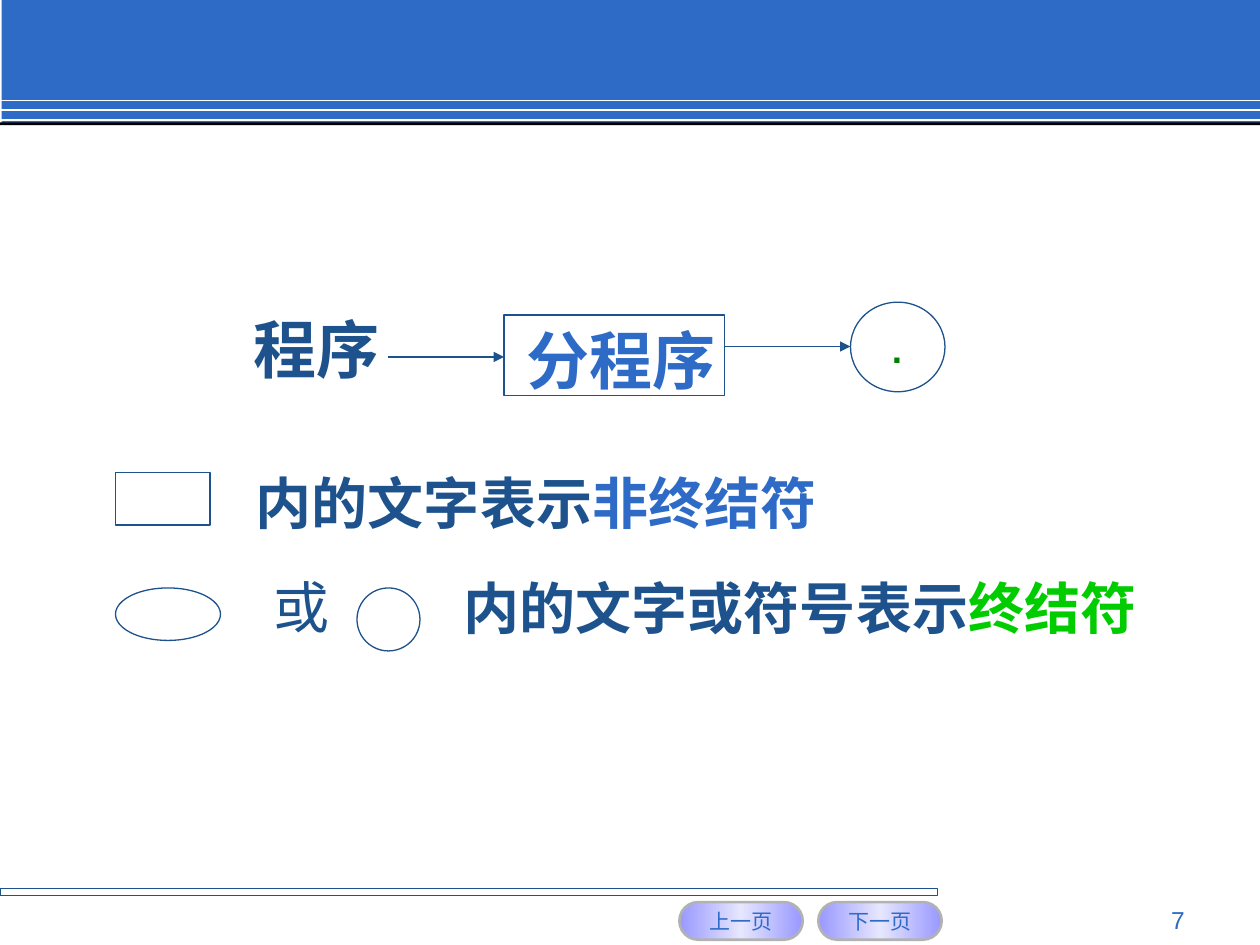
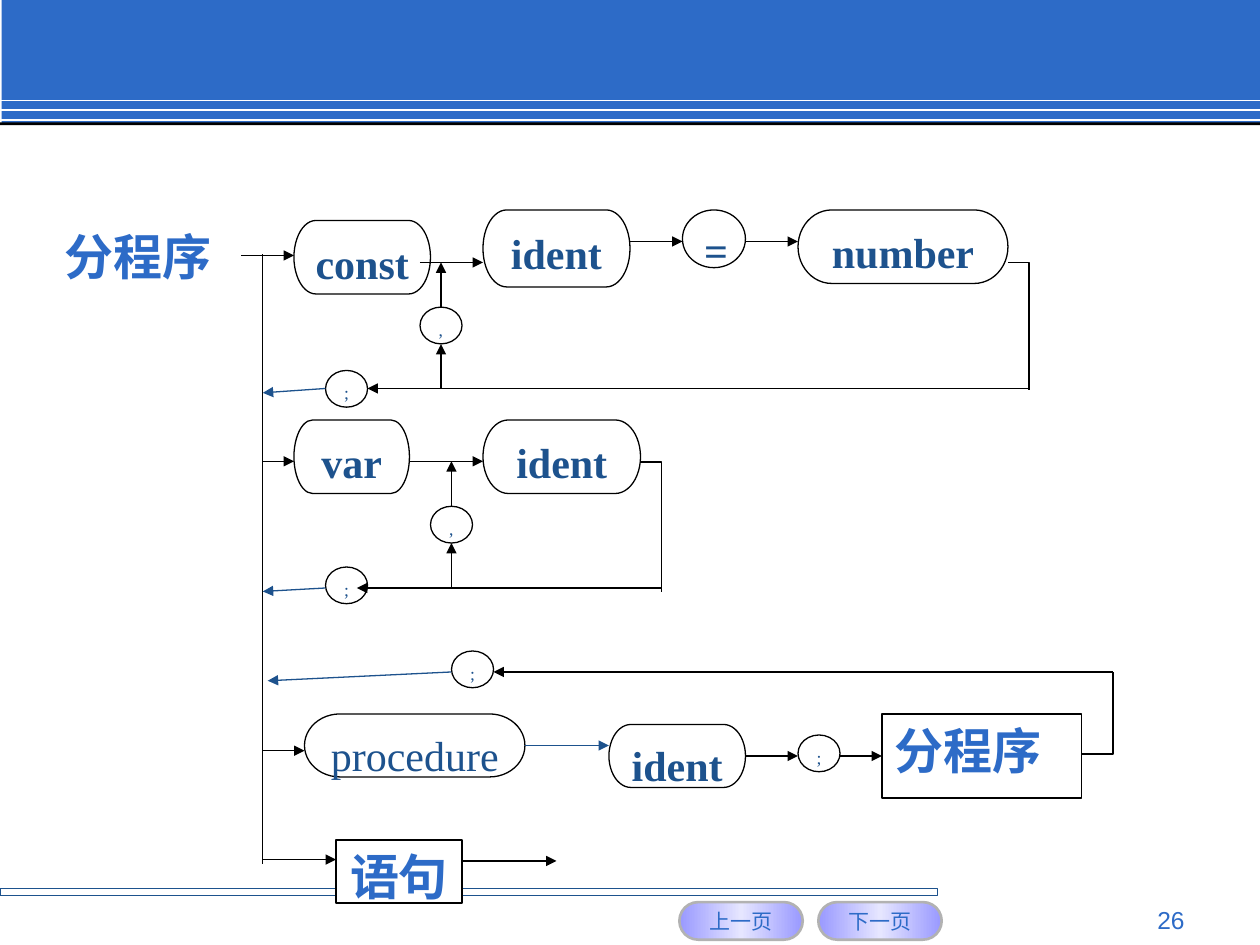
from lxml import etree
from pptx import Presentation
from pptx.dml.color import RGBColor
from pptx.enum.shapes import MSO_CONNECTOR, MSO_SHAPE
from pptx.enum.text import MSO_ANCHOR, PP_ALIGN
from pptx.oxml.ns import qn
from pptx.util import Pt

# Shared colours, fonts and enum members
BLUE, NAVY, BLACK, WHITE = "2D6BC7", "1D528D", "000000", "FFFFFF"
GREEN, DARK_GREEN, GRAY = "00CC00", "008000", "B2B2B2"
LILAC, PALE_LILAC = "9999FF", "E6E6FF"
SANS, SERIF, BODY, CHINESE = "Arial", "Times New Roman", "Cabin", "Noto Sans CJK SC"
LEFT, CENTER, RIGHT, JUSTIFY = (
    PP_ALIGN.LEFT, PP_ALIGN.CENTER, PP_ALIGN.RIGHT, PP_ALIGN.JUSTIFY)
TOP, MIDDLE = MSO_ANCHOR.TOP, MSO_ANCHOR.MIDDLE
STRAIGHT = MSO_CONNECTOR.STRAIGHT
RECT, PILL, OVAL = MSO_SHAPE.RECTANGLE, MSO_SHAPE.ROUNDED_RECTANGLE, MSO_SHAPE.OVAL
TERMINATOR = MSO_SHAPE.FLOWCHART_TERMINATOR
JUNCTION = MSO_SHAPE.FLOWCHART_CONNECTOR
PROCESS = MSO_SHAPE.FLOWCHART_PROCESS


def color(hex_code):
    return RGBColor.from_string(hex_code)


def points(values):
    return [Pt(value) for value in values]


# Element builders
def write(shape, parts, size, font, bold=False, align=LEFT, anchor=TOP, wrap=True):
    """Fill a shape with one paragraph made of (text, colour) parts."""
    frame = shape.text_frame
    frame.word_wrap = wrap
    frame.vertical_anchor = anchor
    paragraph = frame.paragraphs[0]
    paragraph.alignment = align
    for text, hex_code in parts:
        run = paragraph.add_run()
        run.text = text
        run.font.size = Pt(size)
        run.font.name = font
        run.font.bold = bold
        run.font.color.rgb = color(hex_code)
        etree.SubElement(run.font._element, qn("a:ea"), typeface=BODY)


def add_label(slide, box, parts, size, font, **style):
    write(slide.shapes.add_textbox(*points(box)), parts, size, font, **style)


def style_outline(shape, fill, line, width):
    shape.shadow.inherit = False
    if fill:
        shape.fill.solid()
        shape.fill.fore_color.rgb = color(fill)
    else:
        shape.fill.background()
    if line:
        shape.line.color.rgb = color(line)
        shape.line.width = Pt(width)
    else:
        shape.line.fill.background()


def add_figure(slide, kind, box, fill=None, line=None, width=0.75):
    figure = slide.shapes.add_shape(kind, *points(box))
    style_outline(figure, fill, line, width)
    return figure


def add_line(slide, ends, hex_code=BLACK, width=0.75, arrow=True):
    line = slide.shapes.add_connector(STRAIGHT, *points(ends))
    line.line.color.rgb = color(hex_code)
    line.line.width = Pt(width)
    properties = line._element.spPr
    if arrow:
        etree.SubElement(properties.find(qn("a:ln")), qn("a:tailEnd"), type="triangle")
    etree.SubElement(properties, qn("a:effectLst"))


def add_bend(slide, corners):
    start, *rest = [points(corner) for corner in corners]
    builder = slide.shapes.build_freeform(*start)
    builder.add_line_segments(rest, close=False)
    style_outline(builder.convert_to_shape(), None, BLACK, 0.75)


def add_symbol(slide, kind, box, text, size=24, bold=True, align=CENTER, hex_code=NAVY):
    symbol = add_figure(slide, kind, box, WHITE, BLACK)
    write(symbol, [(text, hex_code)], size, SERIF, bold, align)


def add_nav_button(slide, left, text):
    button = add_figure(slide, PILL, (left, 515.5, 70.5, 21.5), LILAC, GRAY, 1.5)
    button.adjustments[0] = 0.5
    button.fill.gradient()
    button.fill.gradient_angle = 0
    stops = button._element.spPr.find(".//" + qn("a:gsLst"))
    for stop in list(stops):
        stops.remove(stop)
    for percent, shade in ((0, LILAC), (50, PALE_LILAC), (100, LILAC)):
        stop = etree.SubElement(stops, qn("a:gs"), pos=str(percent * 1000))
        etree.SubElement(stop, qn("a:srgbClr"), val=shade)
    write(button, [(text, BLUE)], 12, SANS, align=CENTER, anchor=MIDDLE, wrap=False)


def add_page(deck, number):
    """A slide with the blue band on top and the navigation footer."""
    slide = deck.slides.add_slide(deck.slide_layouts[6])
    add_figure(slide, RECT, (1, 0, 719, 71), BLUE)
    for y in (57.4, 63, 68.6):
        add_line(slide, (0, y, 720, y), WHITE, 1, arrow=False)
    add_figure(slide, RECT, (0, 70, 720, 1.5), BLACK)
    add_figure(slide, RECT, (0, 507.6, 535.7, 4.3), line=NAVY)
    add_nav_button(slide, 388.2, "上一页")
    add_nav_button(slide, 467.6, "下一页")
    add_label(slide, (516, 513.4, 168, 19.4), [(number, BLUE)], 14, SANS, align=RIGHT)
    return slide


# Slide: diagram of a program and the legend of its symbols
def build_legend(deck):
    slide = add_page(deck, "7")

    # Program diagram
    add_label(slide, (137.7, 174, 86.4, 50.4), [("程序", NAVY)], 36, CHINESE,
              bold=True, wrap=False)
    add_line(slide, (222, 204, 288, 204), NAVY)
    add_label(slide, (294, 180, 126, 50.4), [("分程序", BLUE)], 36, CHINESE, bold=True)
    add_figure(slide, RECT, (288, 180, 126, 46.2), line=NAVY)
    add_line(slide, (414, 198, 486, 198), NAVY)
    period = add_figure(slide, OVAL, (486, 172.7, 54, 51.2), line=NAVY)
    write(period, [(".", DARK_GREEN)], 24, BODY, True, CENTER, MIDDLE)

    # Legend
    add_figure(slide, RECT, (66, 270, 54, 30), line=NAVY)
    add_label(slide, (139.2, 264, 335, 46), [("内的文字表示", NAVY), ("非终结符", BLUE)],
              32, BODY, bold=True, wrap=False)
    add_figure(slide, OVAL, (66, 336, 60, 30), line=NAVY)
    add_label(slide, (149, 323.5, 46, 46), [("或", NAVY)], 32, BODY, wrap=False)
    add_figure(slide, OVAL, (204, 336, 36, 36), line=NAVY)
    add_label(slide, (258, 324, 432, 46),
              [("内的文字或符号表示", NAVY), ("终结符", GREEN)], 32, BODY, bold=True)


# Slide: syntax diagram of a block
def build_syntax_diagram(deck):
    slide = add_page(deck, "26")
    rail = 150.2

    # Words
    for text, *box in (
        ("const", 168, 126, 78, 42),
        ("ident", 276, 120, 84, 44),
        ("number", 456, 120, 120, 42),
        ("var", 168, 240, 66, 42),
        ("ident", 276, 240, 90, 42),
        ("procedure", 174, 408, 126, 36),
        ("ident", 348, 414, 78, 36),
    ):
        add_symbol(slide, TERMINATOR, box, text, bold=text != "procedure")

    # Signs
    add_symbol(slide, JUNCTION, (390, 120, 36, 33), "=", align=JUSTIFY)
    for sign, left, top in (
        (",", 240, 175.5), (";", 186, 211.7), (",", 246, 289.3),
        (";", 186, 324), (";", 258, 372), (";", 456, 420),
    ):
        add_symbol(slide, JUNCTION, (left, top, 24, 21), sign, 10, False, JUSTIFY)

    # Nonterminals
    add_label(slide, (30, 126, 102, 41), [("分程序", BLUE)], 28, CHINESE, bold=True)
    add_symbol(slide, PROCESS, (504, 408, 114, 48), "分程序", 28, True, JUSTIFY, BLUE)
    add_symbol(slide, PROCESS, (192, 480, 72, 36), "语句", 28, hex_code=BLUE)

    # Rail on the left and the returning bends on the right
    add_line(slide, (rail, 145.4, rail, 493.7), arrow=False)
    add_bend(slide, ((576, 150), (588, 150), (588, 222.8)))
    add_bend(slide, ((366, 264), (378, 264), (378, 338.2)))
    add_bend(slide, ((618, 430.8), (636, 430.8), (636, 384)))

    # Level arrows: y, start, end
    for y, start, end in (
        (146, 138, 168), (150, 240, 276), (138, 360, 390), (138, 426, 456),
        (222, 588, 210),
        (263.6, rail, 168), (263.6, 234, 276), (336, 378, 204),
        (384, 636, 282),
        (429, rail, 174), (432, 426, 456), (432, 480, 504),
        (491.2, rail, 192), (492, 264, 318),
    ):
        add_line(slide, (start, y, end, y))

    # Upward arrows through the commas: x, start, end
    for x, start, end in (
        (252, 222, 196.6), (252, 176, 150), (258, 336, 310.3), (258, 289.3, 263.6),
    ):
        add_line(slide, (x, start, x, end))

    # Blue arrows back to the rail, and from procedure to its name
    for ends in (
        (186, 222, rail, 224.5), (186, 336, rail, 338),
        (258, 384, 153, 389), (300, 426, 348, 426),
    ):
        add_line(slide, ends, NAVY)


def main():
    deck = Presentation()
    deck.slide_width, deck.slide_height = Pt(720), Pt(540)
    build_legend(deck)
    build_syntax_diagram(deck)
    deck.save("out.pptx")


if __name__ == "__main__":
    main()
